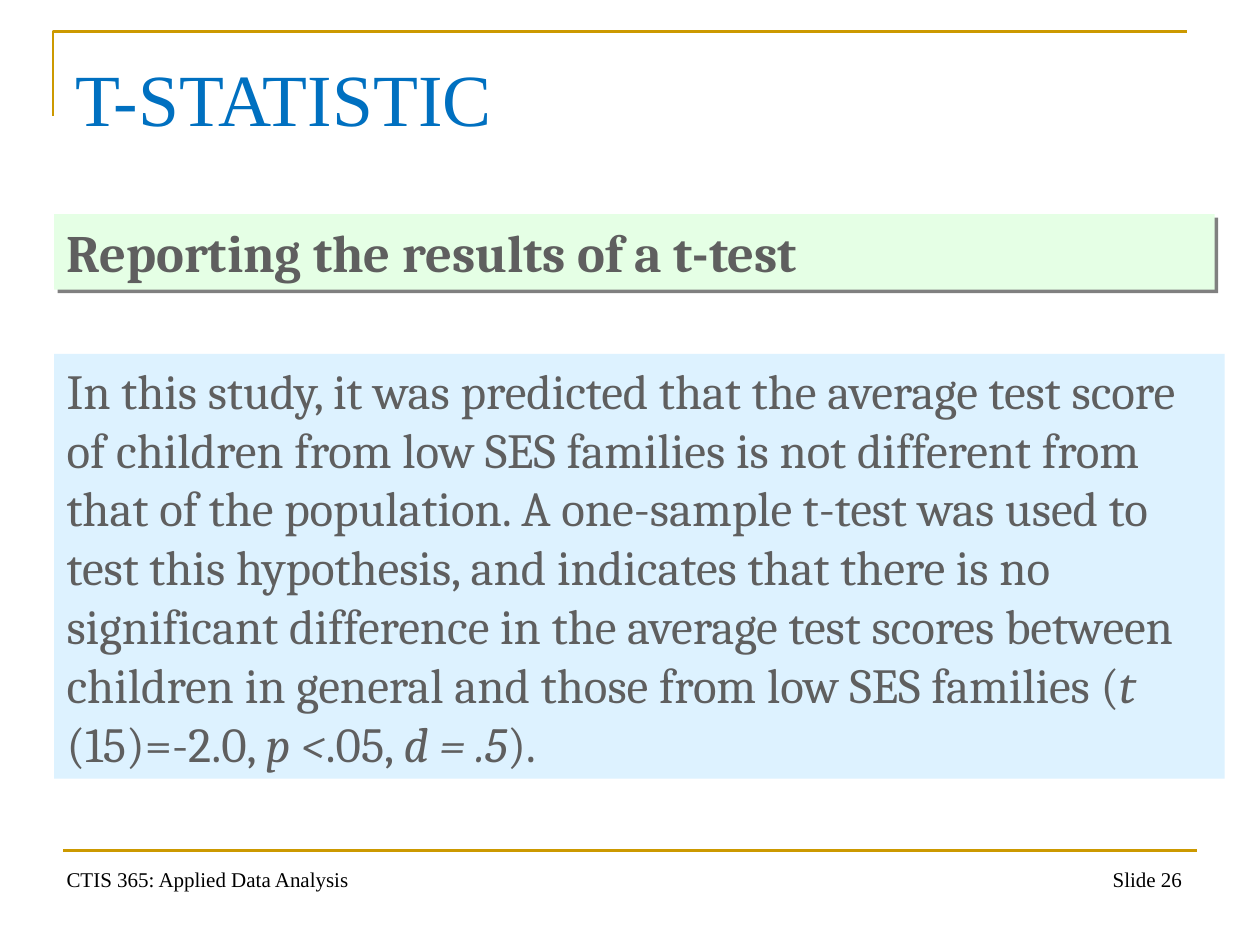
import dataclasses

import lxml.etree
import pptx
import pptx.dml.color
import pptx.enum.shapes
import pptx.enum.text
import pptx.oxml.ns
import pptx.util

PX = 9144  # EMU per px, at 100 px to the inch
ANCHOR = pptx.enum.text.MSO_ANCHOR
ALIGN = pptx.enum.text.PP_ALIGN
AUTO_SIZE = pptx.enum.text.MSO_AUTO_SIZE


@dataclasses.dataclass(frozen=True)
class Theme:
    gold: str = "CC9900"
    blue: str = "0070C0"
    black: str = "000000"
    grey: str = "5F5F5F"
    shadow: str = "808080"
    mint: str = "E5FFE5"
    sky: str = "DDF2FF"
    serif: str = "Times New Roman"
    body_font: str = "Cambria"
    title_size: int = 42
    heading_size: int = 30
    body_size: int = 28
    footer_size: int = 12
    rule_width: float = 1.5


def color(code):
    return pptx.dml.color.RGBColor.from_string(code)


def add_effects(shape):
    """Give the shape its own effect list, which replaces the theme shadow."""
    tag = pptx.oxml.ns.qn("a:effectLst")
    return lxml.etree.SubElement(shape._element.spPr, tag)


class SlideBuilder:
    def __init__(self, page, theme):
        self.page = page
        self.theme = theme

    def style_text(self, frame, font, size, code, bold=False,
                   anchor=ANCHOR.TOP, align=ALIGN.LEFT):
        frame.word_wrap = True
        frame.vertical_anchor = anchor
        for para in frame.paragraphs:
            para.alignment = align
            for span in para.runs:
                span.font.name = font
                span.font.size = pptx.util.Pt(size)
                span.font.bold = bold
                span.font.color.rgb = color(code)

    def style_line(self, line):
        line.color.rgb = color(self.theme.gold)
        line.width = pptx.util.Pt(self.theme.rule_width)

    def title(self, text, left, top, width, height):
        box = self.page.shapes.title
        box.left, box.top, box.width, box.height = (
            value * PX for value in (left, top, width, height))
        frame = box.text_frame
        frame.text = text
        frame.auto_size = AUTO_SIZE.NONE
        frame.margin_top = 12 * PX
        self.style_text(frame, self.theme.serif, self.theme.title_size, self.theme.blue)

    def corner(self, points):
        builder = self.page.shapes.build_freeform(*points[0], scale=PX)
        builder.add_line_segments(points[1:], close=False)
        shape = builder.convert_to_shape()
        shape.fill.background()
        shape.shadow.inherit = False
        self.style_line(shape.line)

    def rule(self, left, right, y):
        line = self.page.shapes.add_connector(
            pptx.enum.shapes.MSO_CONNECTOR.STRAIGHT,
            left * PX, y * PX, right * PX, y * PX)
        self.style_line(line.line)
        add_effects(line)

    def label(self, text, left, top, width, height, **placing):
        box = self.page.shapes.add_textbox(left * PX, top * PX, width * PX, height * PX)
        box.text_frame.text = text
        self.style_text(box.text_frame, self.theme.serif, self.theme.footer_size,
                        self.theme.black, **placing)

    def panel(self, spans, left, top, width, height, fill, size, bold=False):
        """Add a filled box; spans are (text, italic) pairs of one paragraph."""
        box = self.page.shapes.add_shape(
            pptx.enum.shapes.MSO_SHAPE.RECTANGLE,
            left * PX, top * PX, width * PX, height * PX)
        box.shadow.inherit = False
        box.fill.solid()
        box.fill.fore_color.rgb = color(fill)
        box.line.fill.background()
        frame = box.text_frame
        frame.auto_size = AUTO_SIZE.SHAPE_TO_FIT_TEXT
        for text, italic in spans:
            span = frame.paragraphs[0].add_run()
            span.text = text
            span.font.italic = italic
        self.style_text(frame, self.theme.body_font, size, self.theme.grey, bold)
        return box

    def drop_shadow(self, shape):
        effects = shape._element.spPr.find(pptx.oxml.ns.qn("a:effectLst"))
        shadow = lxml.etree.SubElement(
            effects, pptx.oxml.ns.qn("a:outerShdw"),
            dist=str(pptx.util.Pt(2.8)), dir=str(45 * 60000),
            algn="ctr", rotWithShape="0")
        lxml.etree.SubElement(
            shadow, pptx.oxml.ns.qn("a:srgbClr"), val=self.theme.shadow)


def main():
    deck = pptx.Presentation()
    deck.slide_width, deck.slide_height = 1000 * PX, 750 * PX
    theme = Theme()
    slide = SlideBuilder(deck.slides.add_slide(deck.slide_layouts[5]), theme)

    slide.corner([(42, 92), (42, 25), (942, 25)])
    slide.rule(50, 950, 675)
    slide.label("CTIS 365: Applied Data Analysis", 43, 682, 317, 31, anchor=ANCHOR.BOTTOM)
    slide.label("Slide 26", 715, 683, 233, 52, align=ALIGN.RIGHT)

    slide.title("T-STATISTIC", 50, 30, 900, 125)
    heading = slide.panel([("Reporting the results of a t-test", False)],
                          43, 170, 921, 60, theme.mint, theme.heading_size, bold=True)
    slide.drop_shadow(heading)

    report = [
        ("In this study, it was predicted that the average test score of children "
         "from low SES families is not different from that of the population. "
         "A one-sample t-test was used to test this hypothesis, and indicates that "
         "there is no significant difference in the average test scores between "
         "children in general and those from low SES families (", False),
        ("t ", True),
        ("(15)=-2.0, ", False),
        ("p <", True),
        (".05, ", False),
        ("d = .5", True),
        (").", False),
    ]
    slide.panel(report, 43, 281, 929, 337, theme.sky, theme.body_size)
    deck.save("out.pptx")


if __name__ == "__main__":
    main()
